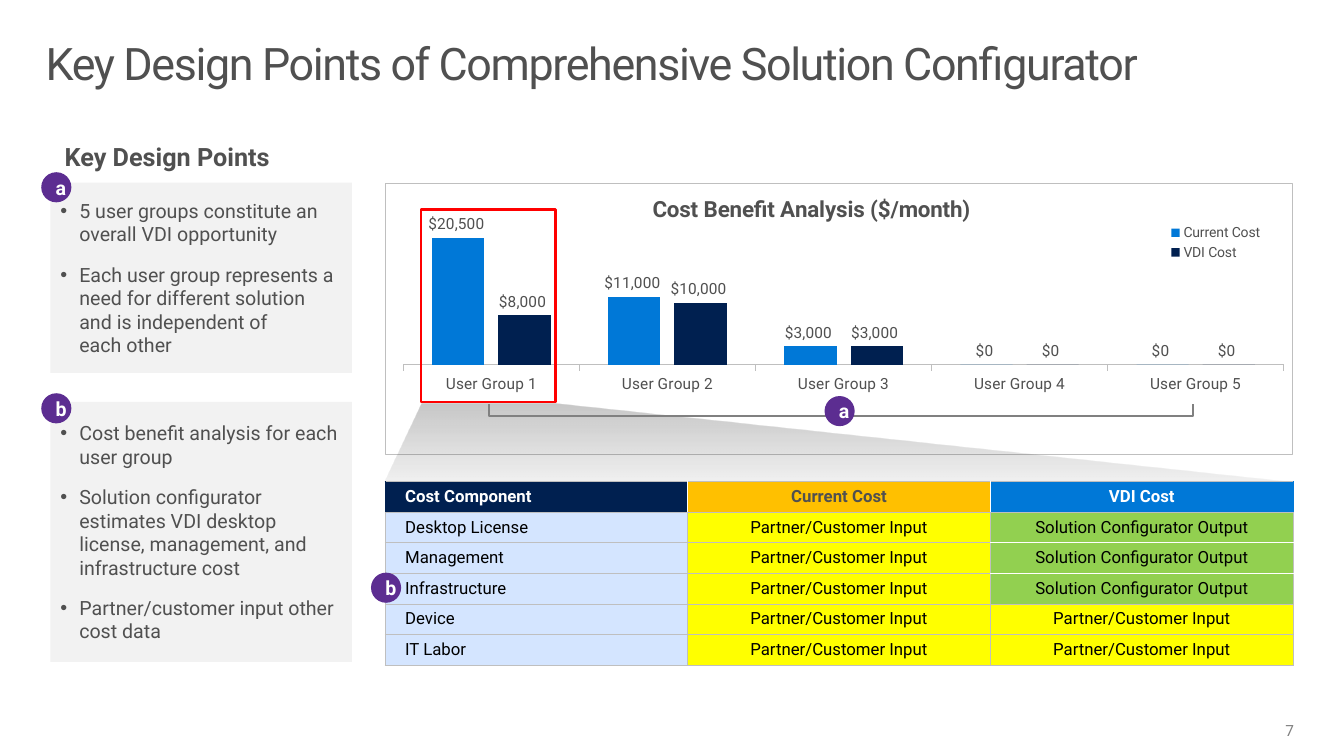
"""Build a slide that ties key design points to a cost chart and a cost table."""
from copy import deepcopy
from dataclasses import dataclass

from pptx import Presentation
from pptx.chart.data import CategoryChartData
from pptx.dml.color import RGBColor
from pptx.enum.chart import XL_CHART_TYPE, XL_LABEL_POSITION, XL_LEGEND_POSITION, XL_TICK_MARK
from pptx.enum.shapes import MSO_SHAPE
from pptx.enum.text import MSO_ANCHOR, MSO_AUTO_SIZE, PP_ALIGN
from pptx.oxml import parse_xml
from pptx.oxml.ns import nsdecls, qn
from pptx.util import Cm, Pt


@dataclass(frozen=True)
class Theme:
    font: str = "Roboto"
    text: str = "505050"
    white: str = "FFFFFF"
    black: str = "000000"
    gray: str = "808080"
    grid: str = "BFBFBF"
    panel: str = "F2F2F2"
    purple: str = "5C2D91"
    red: str = "FF0000"
    blue: str = "0078D7"
    navy: str = "002050"
    amber: str = "FFC000"
    pale: str = "D4E5FF"
    yellow: str = "FFFF00"
    green: str = "92D050"
    title: int = 32
    heading: int = 18
    chart_title: int = 16
    body: int = 14
    table: int = 12
    label: int = 11
    legend: int = 10


theme = Theme()


def write(frame, *texts, size=theme.body, color=theme.text, bold=False, align=PP_ALIGN.LEFT,
          bullet=False, tracking=0):
    """Fill a text frame with one formatted paragraph for each text."""
    for index, text in enumerate(texts):
        paragraph = frame.add_paragraph() if index else frame.paragraphs[0]
        paragraph.text = text
        paragraph.alignment = align
        for run in paragraph.runs:
            run.font.name = theme.font
            run.font.size = Pt(size)
            run.font.bold = bold
            run.font.color.rgb = RGBColor.from_string(color)
            if tracking:
                run.font._element.set("spc", str(tracking))
        for line_break in paragraph._p.findall(qn("a:br")):
            line_break.insert(0, deepcopy(paragraph.runs[0].font._element))
        if bullet:
            paragraph.space_after = Pt(12)
            properties = paragraph._p.get_or_add_pPr()
            properties.set("marL", str(Cm(0.48)))
            properties.set("indent", str(-Cm(0.48)))
            properties.append(parse_xml(f'<a:buFont {nsdecls("a")} typeface="Arial"/>'))
            properties.append(parse_xml(f'<a:buChar {nsdecls("a")} char="•"/>'))


def place(element, position, target="", **fractions):
    """Give a chart part a manual layout, as fractions of the chart."""
    for layout in element.findall(qn("c:layout")):
        element.remove(layout)
    modes = "".join(f'<c:{side}Mode val="edge"/>' for side in "xy")
    values = "".join(f'<c:{key} val="{value}"/>' for key, value in fractions.items())
    element.insert(position, parse_xml(
        f'<c:layout {nsdecls("c")}><c:manualLayout>{target}{modes}{values}'
        '</c:manualLayout></c:layout>'))


presentation = Presentation()
presentation.slide_width, presentation.slide_height = Cm(33.87), Cm(19.05)
slide = presentation.slides.add_slide(presentation.slide_layouts[5])
shapes = slide.shapes

title = shapes.title
title.left, title.top, title.width, title.height = Cm(0.74), Cm(0.81), Cm(31.85), Cm(2.49)
title_frame = title.text_frame
title_frame.auto_size = MSO_AUTO_SIZE.NONE
title_frame.vertical_anchor = MSO_ANCHOR.TOP
title_frame.margin_left = title_frame.margin_right = Cm(0.41)
title_frame.margin_top = title_frame.margin_bottom = Cm(0.25)
write(title_frame, "Key Design Points of Comprehensive Solution Configurator",
      size=theme.title, tracking=-100)
title_frame.paragraphs[0].line_spacing = 0.9

currency = '"$"#,##0_);[Red]\\("$"#,##0\\)'
cost_data = CategoryChartData(number_format=currency)
cost_data.categories = [f"User Group {number}" for number in range(1, 6)]
cost_data.add_series("Current Cost", (20500, 11000, 3000, 0, 0))
cost_data.add_series("VDI Cost", (8000, 10000, 3000, 0, 0))
chart = shapes.add_chart(XL_CHART_TYPE.COLUMN_CLUSTERED, Cm(9.7), Cm(4.6), Cm(22.89), Cm(6.86),
                         cost_data).chart
chart.has_title = True
write(chart.chart_title.text_frame, "Cost Benefit Analysis ($/month)",
      size=theme.chart_title, bold=True, align=PP_ALIGN.CENTER)
place(chart.chart_title._element, 1, x=0.29, y=0.03)
chart.has_legend = True
chart.legend.position = XL_LEGEND_POSITION.BOTTOM
chart.legend.include_in_layout = False
place(chart.legend._element, 1, x=0.86, y=0.14, w=0.11, h=0.16)
place(chart._chartSpace.chart.plotArea, 0, '<c:layoutTarget val="inner"/>',
      x=0.02, y=0.1, w=0.97, h=0.57)
chart._chartSpace.chart.addnext(parse_xml(
    f'<c:spPr {nsdecls("c", "a")}><a:noFill/><a:ln w="6350"><a:solidFill>'
    f'<a:srgbClr val="{theme.grid}"/></a:solidFill></a:ln></c:spPr>'))

cost_axis = chart.value_axis
cost_axis.visible = False
cost_axis.has_major_gridlines = False
cost_axis.minimum_scale, cost_axis.maximum_scale = 0, 25000
group_axis = chart.category_axis
group_axis.major_tick_mark = XL_TICK_MARK.OUTSIDE
group_axis.format.line.color.rgb = RGBColor.from_string(theme.grid)
group_axis.format.line.width = Pt(0.75)
plot = chart.plots[0]
plot.gap_width, plot.overlap = 111, -27
plot.vary_by_categories = False
chart_fonts = [(chart.font, theme.legend), (chart.legend.font, theme.legend),
               (group_axis.tick_labels.font, theme.label)]
for series, color in zip(plot.series, (theme.blue, theme.navy)):
    series.format.fill.solid()
    series.format.fill.fore_color.rgb = RGBColor.from_string(color)
    labels = series.data_labels
    labels.show_value = True
    labels.number_format, labels.number_format_is_linked = currency, False
    labels.position = XL_LABEL_POSITION.OUTSIDE_END
    chart_fonts.append((labels.font, theme.label))
for font, size in chart_fonts:
    font.name, font.size = theme.font, Pt(size)
    font.color.rgb = RGBColor.from_string(theme.text)

builder = shapes.build_freeform(Cm(10.64), Cm(10.16))
builder.add_line_segments([(Cm(14), Cm(10.16)), (Cm(32.59), Cm(12.14)), (Cm(9.7), Cm(12.14))])
zoom = builder.convert_to_shape()
zoom.shadow.inherit = False
zoom.line.fill.background()
zoom.fill.gradient()
zoom.fill._xPr.replace(zoom.fill._xPr.find(qn("a:gradFill")), parse_xml(
    f'<a:gradFill {nsdecls("a")} rotWithShape="1"><a:gsLst>' + "".join(
        f'<a:gs pos="{stop}"><a:srgbClr val="{theme.text}"><a:alpha val="{alpha}"/></a:srgbClr></a:gs>'
        for stop, alpha in ((0, 32000), (99000, 8000)))
    + '</a:gsLst><a:lin ang="5400000" scaled="0"/></a:gradFill>'))

for top, height, points in (
        (4.6, 4.8, ("5 user groups constitute an overall VDI opportunity",
                    "Each user group represents a need for different solution "
                    "and is independent of\neach other")),
        (10.13, 6.55, ("Cost benefit analysis for each user group",
                       "Solution configurator estimates VDI desktop license, management, "
                       "and infrastructure cost",
                       "Partner/customer input other cost data"))):
    panel = shapes.add_shape(MSO_SHAPE.RECTANGLE, Cm(1.27), Cm(top), Cm(7.6), Cm(height))
    panel.shadow.inherit = False
    panel.fill.solid()
    panel.fill.fore_color.rgb = RGBColor.from_string(theme.panel)
    panel.line.fill.background()
    write(panel.text_frame, *points, bullet=True)

heading_frame = shapes.add_textbox(Cm(1.27), Cm(3.43), Cm(5.89), Cm(1.02)).text_frame
heading_frame.word_wrap = False
write(heading_frame, "Key Design Points", size=theme.heading, bold=True, align=PP_ALIGN.CENTER)

number_frame = shapes.add_textbox(Cm(32.08), Cm(18.16), Cm(0.53), Cm(0.51)).text_frame
number_frame.word_wrap = True
number_frame.vertical_anchor = MSO_ANCHOR.MIDDLE
number_frame.margin_left = number_frame.margin_right = 0
number_frame.margin_top = number_frame.margin_bottom = 0
write(number_frame, "7", size=theme.label, color=theme.gray, align=PP_ALIGN.RIGHT)

partner = ("Partner/Customer Input", theme.yellow)
configurator = ("Solution Configurator Output", theme.green)
rows = [[("Cost Component", theme.navy), ("Current Cost", theme.amber), ("VDI Cost", theme.blue)]]
for component in ("Desktop License", "Management", "Infrastructure"):
    rows.append([(component, theme.pale), partner, configurator])
for component in ("Device", "IT Labor"):
    rows.append([(component, theme.pale), partner, partner])
table = shapes.add_table(6, 3, Cm(9.7), Cm(12.14), Cm(22.89), Cm(4.5)).table
table.first_row = table.horz_banding = False
header_edges = (theme.navy, theme.white, theme.white, theme.blue)
for row_index, row in enumerate(rows):
    table.rows[row_index].height = Cm(0.75)
    for column, (text, fill) in enumerate(row):
        cell = table.cell(row_index, column)
        cell.vertical_anchor = MSO_ANCHOR.MIDDLE
        cell.margin_left = cell.margin_right = Cm(0.51)
        cell.margin_top = cell.margin_bottom = Cm(0.13)
        header = row_index == 0
        sides = [header_edges[column + step] if header else theme.grid for step in (0, 1)]
        sides += [theme.white if column == 2 and row_index + step in (2, 3) else theme.grid
                  for step in (0, 1)]
        for side, color in zip("LRTB", sides):
            cell._tc.get_or_add_tcPr().append(parse_xml(
                f'<a:ln{side} {nsdecls("a")} w="6350"><a:solidFill><a:srgbClr val="{color}"/>'
                f'</a:solidFill></a:ln{side}>'))
        cell.fill.solid()
        cell.fill.fore_color.rgb = RGBColor.from_string(fill)
        header_color = theme.text if column == 1 else theme.white
        write(cell.text_frame, text, size=theme.table, bold=header,
              color=header_color if header else theme.black,
              align=PP_ALIGN.CENTER if column else PP_ALIGN.LEFT)

highlight = shapes.add_shape(MSO_SHAPE.RECTANGLE, Cm(10.62), Cm(5.28), Cm(3.38), Cm(4.86))
builder = shapes.build_freeform(Cm(12.32), Cm(10.19))
builder.add_line_segments([(Cm(12.32), Cm(10.49)), (Cm(30.07), Cm(10.49)), (Cm(30.07), Cm(10.19))],
                          close=False)
bracket = builder.convert_to_shape()
for outline, color, width in ((highlight, theme.red, 1.5), (bracket, theme.gray, 1.25)):
    outline.shadow.inherit = False
    outline.fill.background()
    outline.line.color.rgb = RGBColor.from_string(color)
    outline.line.width = Pt(width)

for letter, left, top in (("a", 1.04, 4.34), ("b", 1.04, 9.91), ("b", 9.35, 14.43), ("a", 20.78, 9.98)):
    badge = shapes.add_shape(MSO_SHAPE.OVAL, Cm(left), Cm(top), Cm(0.76), Cm(0.76))
    badge.shadow.inherit = False
    badge.fill.solid()
    badge.fill.fore_color.rgb = RGBColor.from_string(theme.purple)
    badge.line.fill.background()
    write(badge.text_frame, letter, color=theme.white, bold=True, align=PP_ALIGN.CENTER)

presentation.save("out.pptx")
